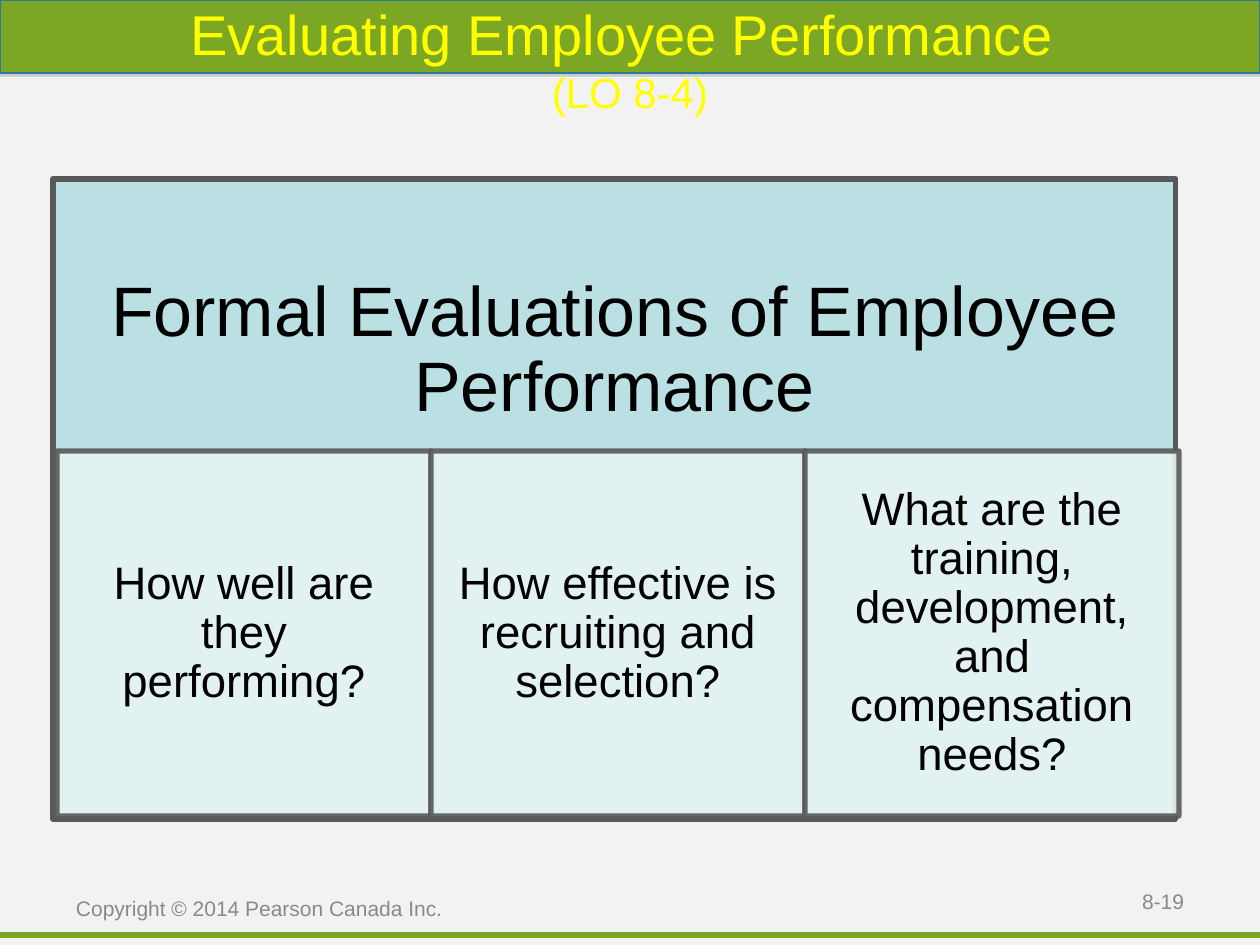
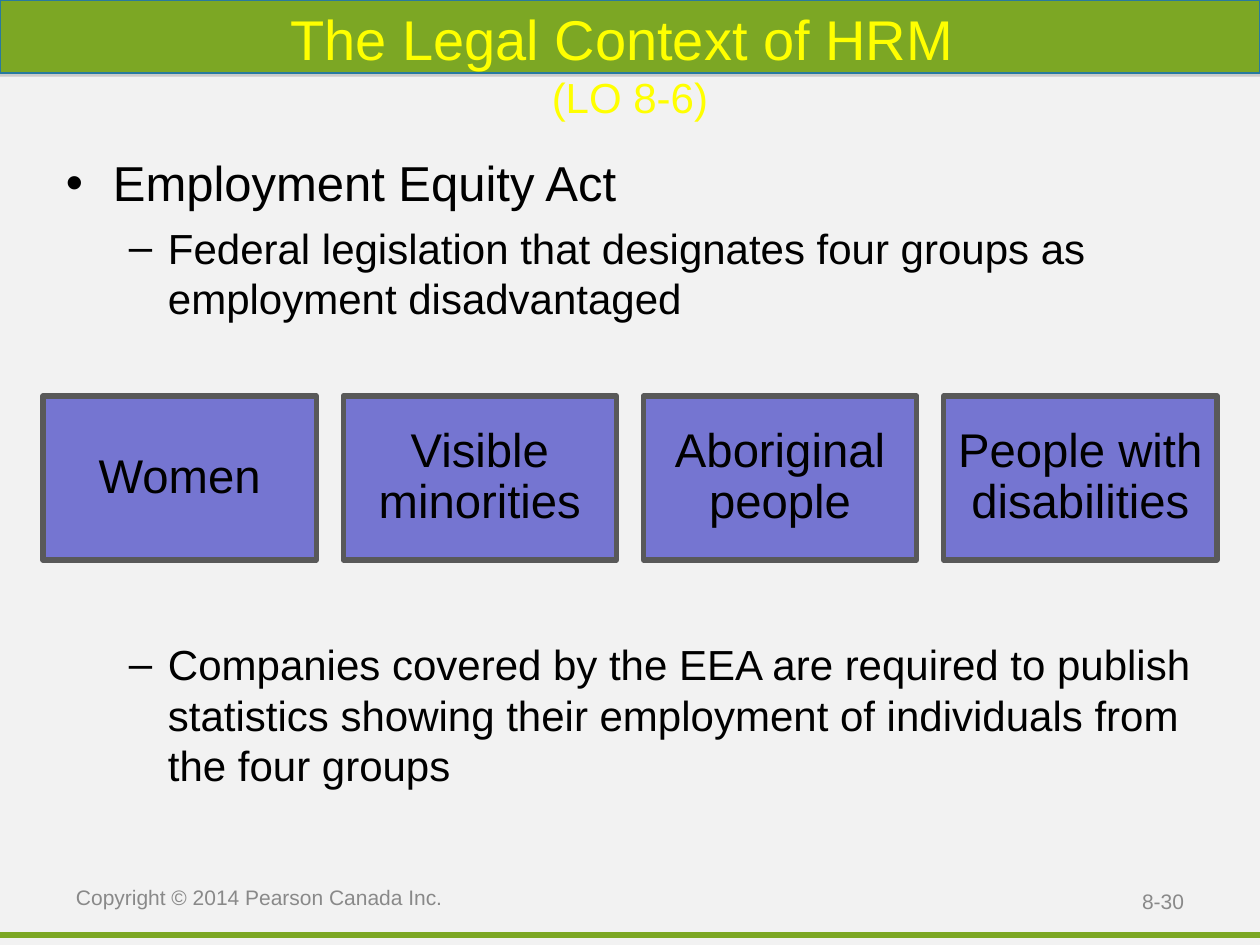
from lxml import etree
from pptx import Presentation
from pptx.dml.color import RGBColor
from pptx.enum.shapes import MSO_CONNECTOR as Connector, MSO_SHAPE as Shape
from pptx.enum.text import MSO_ANCHOR as Anchor, PP_ALIGN as Align
from pptx.oxml.ns import qn
from pptx.util import Emu, Pt

PX_PER_INCH = 126
WIDTH, HEIGHT = 1260, 945
FONT = "Arial"
COLORS = {
    "background": "F2F2F2", "green": "7CA724", "band_edge": "287A9E",
    "shadow": "808080", "title": "FFFF00", "footer": "898989",
    "text": "000000", "edge": "595959", "teal": "BBE0E3",
    "pale_teal": "E7F3F4", "violet": "7575D1",
}
TEXT_INSETS = (13, 6, 13, 6)
# Per level: bullet, left margin, hanging indent, text size, space before
BULLET_LEVELS = [("•", 47, 47, 28, 7), ("–", 102, 39, 24, 6)]


def px(length):
    return Emu(round(length * 914400 / PX_PER_INCH))


def color(name):
    return RGBColor.from_string(COLORS[name])


def add_element(parent, tag, **attributes):
    element = etree.SubElement(parent, qn(tag))
    for name, value in attributes.items():
        element.set(name, str(value))
    return element


# Text
def set_frame(text_frame, insets, anchor):
    text_frame.word_wrap = True
    text_frame.vertical_anchor = anchor
    (text_frame.margin_left, text_frame.margin_top,
     text_frame.margin_right, text_frame.margin_bottom) = map(px, insets)


def format_runs(paragraph, sizes, color_name):
    for run, size in zip(paragraph.runs, sizes):
        run.font.name = FONT
        run.font.size = Pt(size)
        run.font.color.rgb = color(color_name)


def add_text_box(slide, box, insets=TEXT_INSETS, anchor=Anchor.MIDDLE):
    text_frame = slide.shapes.add_textbox(*map(px, box)).text_frame
    set_frame(text_frame, insets, anchor)
    return text_frame


def add_label(slide, text, box, sizes, color_name, align, insets=TEXT_INSETS):
    paragraph = add_text_box(slide, box, insets).paragraphs[0]
    paragraph.text = text
    paragraph.alignment = align
    format_runs(paragraph, sizes, color_name)


def add_bullets(slide, items, box):
    text_frame = add_text_box(slide, box, anchor=Anchor.TOP)
    for index, (level, text) in enumerate(items):
        bullet, margin, hanging, size, space = BULLET_LEVELS[level]
        paragraph = text_frame.add_paragraph() if index else text_frame.paragraphs[0]
        paragraph.text = text
        paragraph.level = level
        properties = paragraph._p.get_or_add_pPr()
        properties.set("marL", str(px(margin)))
        properties.set("indent", str(-px(hanging)))
        bullet_color = add_element(properties, "a:buClr")
        add_element(bullet_color, "a:srgbClr", val=COLORS["text"])
        add_element(properties, "a:buFont", typeface=FONT)
        add_element(properties, "a:buChar", char=bullet)
        paragraph.space_before = Pt(space if index else 0)
        format_runs(paragraph, [size], "text")


# Shapes
def add_rectangle(slide, box, fill, edge, edge_width):
    shape = slide.shapes.add_shape(Shape.RECTANGLE, *map(px, box))
    shape.shadow.inherit = False
    shape.fill.solid()
    shape.fill.fore_color.rgb = color(fill)
    shape.line.color.rgb = color(edge)
    shape.line.width = Pt(edge_width)
    return shape


def add_card(slide, text, box, fill, size, insets, opacity=100):
    shape = add_rectangle(slide, box, fill, "edge", 3)
    if opacity < 100:
        for shade in list(shape.element.spPr.iter(qn("a:srgbClr"))):
            add_element(shade, "a:alpha", val=opacity * 1000)
    set_frame(shape.text_frame, insets, Anchor.MIDDLE)
    paragraph = shape.text_frame.paragraphs[0]
    paragraph.text = text
    paragraph.alignment = Align.CENTER
    paragraph.line_spacing = 0.9
    format_runs(paragraph, [size], "text")


def add_card_row(slide, texts, box, gap, **style):
    left, top, width, height = box
    card_width = (width - gap * (len(texts) - 1)) / len(texts)
    for index, text in enumerate(texts):
        card_left = left + index * (card_width + gap)
        add_card(slide, text, (card_left, top, card_width, height), **style)


# Shared slide frame
def add_base_slide(presentation, title, objective, title_height, number, footer_box):
    slide = presentation.slides.add_slide(presentation.slide_layouts[6])
    slide.background.fill.solid()
    slide.background.fill.fore_color.rgb = color("background")

    rule = slide.shapes.add_connector(
        Connector.STRAIGHT, 0, px(935), px(WIDTH), px(935))
    rule.line.color.rgb = color("green")
    rule.line.width = Pt(3)
    add_element(rule.element.spPr, "a:effectLst")

    band = add_rectangle(slide, (0, 0, WIDTH, 73), "green", "band_edge", 0.75)
    effects = band.element.spPr.find(qn("a:effectLst"))
    shadow = add_element(effects, "a:outerShdw", blurRad=0, dist=Pt(1.8),
                         dir=90 * 60000, rotWithShape=0)
    shade = add_element(shadow, "a:srgbClr", val=COLORS["shadow"])
    add_element(shade, "a:alpha", val=35000)

    add_label(slide, f"{title} \v{objective}", (0, 0, WIDTH, title_height),
              (32, 24), "title", Align.CENTER, insets=(32, 32, 32, 32))
    add_label(slide, number, (903, 876, 294, 50), [12], "footer", Align.RIGHT)
    add_label(slide, "Copyright © 2014 Pearson Canada Inc.", footer_box,
              [12], "footer", Align.LEFT)
    return slide


# Slides
def add_evaluation_slide(presentation):
    slide = add_base_slide(presentation, "Evaluating Employee Performance",
                           "(LO 8-4)", 116, "8-19", (63, 872, 399, 73))
    add_card(slide, "Formal Evaluations of Employee Performance",
             (53, 179, 1123, 640), "teal", 40, (39, 39, 39, 334))
    questions = [
        "How well are they performing?",
        "How effective is recruiting and selection?",
        "What are the training, development, and compensation needs?",
    ]
    add_card_row(slide, questions, (57, 451, 1122, 365), gap=0,
                 fill="pale_teal", size=26, insets=(25, 5, 25, 5), opacity=90)


def add_legal_slide(presentation):
    slide = add_base_slide(presentation, "The Legal Context of HRM",
                           "(LO 8-6)", 126, "8-30", (63, 850, 420, 95))
    add_bullets(slide, [
        (0, "Employment Equity Act"),
        (1, "Federal legislation that designates four groups as "
            "employment disadvantaged"),
    ], (53, 147, 1155, 190))
    add_bullets(slide, [
        (1, "Companies covered by the EEA are required to publish statistics "
            "showing their employment of individuals from the four groups"),
    ], (53, 633, 1155, 176))
    groups = ["Women", "Visible minorities", "Aboriginal people",
              "People with disabilities"]
    add_card_row(slide, groups, (43, 396, 1174, 164), gap=27,
                 fill="violet", size=27, insets=(14, 14, 14, 14))


def main():
    presentation = Presentation()
    presentation.slide_width = px(WIDTH)
    presentation.slide_height = px(HEIGHT)
    add_evaluation_slide(presentation)
    add_legal_slide(presentation)
    presentation.save("out.pptx")


if __name__ == "__main__":
    main()
